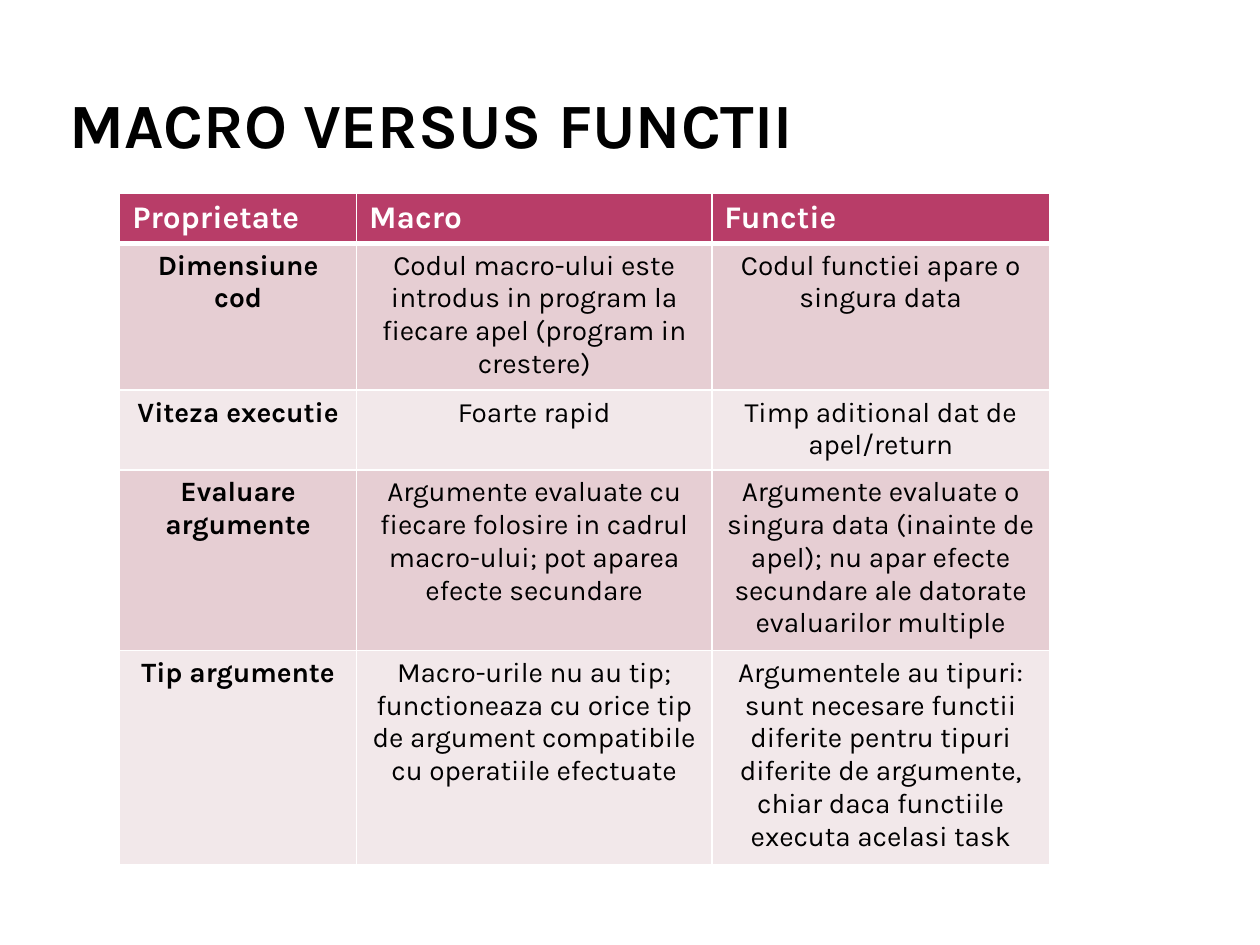
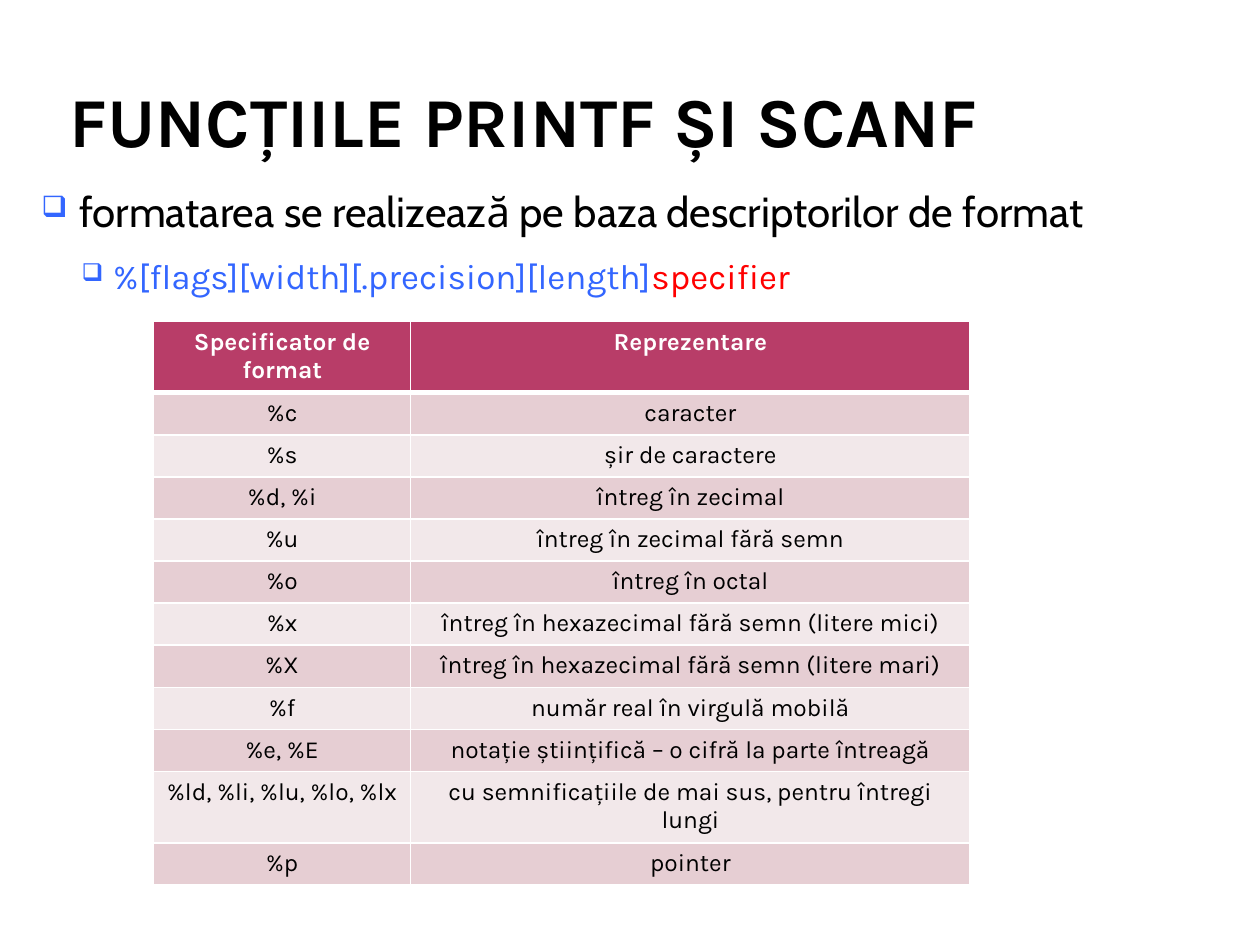
from lxml import etree
from pptx import Presentation
from pptx.dml.color import RGBColor
from pptx.enum.text import MSO_ANCHOR, PP_ALIGN
from pptx.oxml.ns import qn
from pptx.util import Inches, Pt

LEFT, CENTER = PP_ALIGN.LEFT, PP_ALIGN.CENTER
BOTTOM = MSO_ANCHOR.BOTTOM

BLACK = RGBColor(0x00, 0x00, 0x00)
WHITE = RGBColor(0xFF, 0xFF, 0xFF)
RASPBERRY = RGBColor(0xB8, 0x3D, 0x68)
DARK_BAND = RGBColor(0xE6, 0xCE, 0xD3)
LIGHT_BAND = RGBColor(0xF2, 0xE8, 0xEA)
BLUE = RGBColor(0x33, 0x66, 0xFF)
RED = RGBColor(0xFF, 0x00, 0x00)

MAIN_FONT = "Karla"
LEAD_FONT = "Cabin"
THIN, THICK = 0.96, 3

COMPARISON = [
    ("Proprietate", "Macro", "Functie"),
    ("Dimensiune cod",
     "Codul macro-ului este introdus in program la fiecare apel (program in crestere)",
     "Codul functiei apare o singura data"),
    ("Viteza executie", "Foarte rapid", "Timp aditional dat de apel/return"),
    ("Evaluare argumente",
     "Argumente evaluate cu fiecare folosire in cadrul macro-ului; "
     "pot aparea efecte secundare",
     "Argumente evaluate o singura data (inainte de apel); nu apar efecte "
     "secundare ale datorate evaluarilor multiple"),
    ("Tip argumente",
     "Macro-urile nu au tip; functioneaza cu orice tip de argument compatibile "
     "cu operatiile efectuate",
     "Argumentele au tipuri: sunt necesare functii diferite pentru tipuri diferite "
     "de argumente, chiar daca functiile executa acelasi task"),
]

SPECIFIERS = [
    ("Specificator de format", "Reprezentare"),
    ("%c", "caracter"),
    ("%s", "șir de caractere"),
    ("%d, %i", "întreg în zecimal"),
    ("%u", "întreg în zecimal fără semn"),
    ("%o", "întreg în octal"),
    ("%x", "întreg în hexazecimal fără semn (litere mici)"),
    ("%X", "întreg în hexazecimal fără semn (litere mari)"),
    ("%f", "număr real în virgulă mobilă"),
    ("%e, %E", "notație științifică – o cifră la parte întreagă"),
    ("%ld, %li, %lu, %lo, %lx", "cu semnificațiile de mai sus, pentru întregi lungi"),
    ("%p", "pointer"),
]


def set_font(paragraph, size, color, bold=False, name=MAIN_FONT):
    """Set the font of a whole paragraph."""
    font = paragraph.font
    font.name, font.size, font.bold = name, Pt(size), bold
    font.color.rgb = color


def add_text_frame(page, left, top, width, height):
    """Add a wrapping text box and return its frame."""
    box = page.shapes.add_textbox(Inches(left), Inches(top), Inches(width), Inches(height))
    box.text_frame.word_wrap = True
    return box.text_frame


def add_title(page, text, size, width):
    """Add the slide title, resting on the bottom of its box."""
    frame = add_text_frame(page, 0.5, 0.03, width, 1.25)
    frame.vertical_anchor = BOTTOM
    frame.margin_left = frame.margin_right = Inches(0.05)
    frame.margin_top = frame.margin_bottom = 0
    paragraph = frame.paragraphs[0]
    paragraph.text = text
    set_font(paragraph, size, BLACK, bold=True)


def format_bullet(paragraph, level, margin, hanging, space_before):
    """Give a paragraph its blue box bullet, indent and spacing."""
    paragraph.level = level
    paragraph.line_spacing = 1.25
    paragraph.space_before = Pt(space_before)
    properties = paragraph._p.get_or_add_pPr()
    properties.set("marL", str(Inches(margin)))
    properties.set("indent", str(-Inches(hanging)))
    color = etree.SubElement(properties, qn("a:buClr"))
    etree.SubElement(color, qn("a:srgbClr"), val=str(BLUE))
    etree.SubElement(properties, qn("a:buSzPct"), val="70000")
    etree.SubElement(properties, qn("a:buChar"), char="❑")


def add_format_outline(page):
    """Add the two bullets that explain a format descriptor."""
    frame = add_text_frame(page, 0.23, 1.32, 9.63, 6.02)
    lead = frame.paragraphs[0]
    lead.text = "formatarea se realizează pe baza descriptorilor de format"
    format_bullet(lead, 0, 0.3, 0.3, 6)
    set_font(lead, 24, BLACK, name=LEAD_FONT)

    pattern = frame.add_paragraph()
    format_bullet(pattern, 1, 0.57, 0.25, 5)
    set_font(pattern, 20, BLUE)
    for text, color in (("%[flags][width][.precision][length]", BLUE), ("specifier", RED)):
        span = pattern.add_run()
        span.text = text
        span.font.color.rgb = color


def set_borders(cell, top, bottom):
    """Draw white borders around a cell, thin at the sides."""
    properties = cell._tc.get_or_add_tcPr()
    for side, width in (("L", THIN), ("R", THIN), ("T", top), ("B", bottom)):
        line = etree.SubElement(properties, qn(f"a:ln{side}"), w=str(Pt(width)))
        fill = etree.SubElement(line, qn("a:solidFill"))
        etree.SubElement(fill, qn("a:srgbClr"), val=str(WHITE))


def add_banded_table(page, rows, left, top, widths, heights, header_size, body_size,
                     header_align=CENTER, bold_labels=False):
    """Add a table with a raspberry header and alternating pink rows."""
    table = page.shapes.add_table(
        len(rows), len(widths), Inches(left), Inches(top),
        Inches(sum(widths)), Inches(sum(heights))).table
    for column, width in zip(table.columns, widths):
        column.width = Inches(width)
    for index, (texts, height) in enumerate(zip(rows, heights)):
        table.rows[index].height = Inches(height)
        header = index == 0
        band = RASPBERRY if header else DARK_BAND if index % 2 else LIGHT_BAND
        for position, text in enumerate(texts):
            cell = table.cell(index, position)
            set_borders(cell, THICK if index == 1 else THIN, THICK if header else THIN)
            cell.fill.solid()
            cell.fill.fore_color.rgb = band
            paragraph = cell.text_frame.paragraphs[0]
            paragraph.text = text
            paragraph.alignment = header_align if header else CENTER
            set_font(paragraph, header_size if header else body_size,
                     WHITE if header else BLACK,
                     bold=header or (bold_labels and position == 0))


def main():
    """Build both slides and save the deck."""
    deck = Presentation()
    deck.slide_width, deck.slide_height = Inches(10), Inches(7.5)
    blank = deck.slide_layouts[6]

    page = deck.slides.add_slide(blank)
    add_title(page, "MACRO VERSUS FUNCTII", 36, 9.88)
    add_banded_table(page, COMPARISON, 0.95, 1.53, [1.88, 2.82, 2.68],
                     [0.39, 1.13, 0.62, 1.39, 1.65], 18, 16,
                     header_align=LEFT, bold_labels=True)

    page = deck.slides.add_slide(blank)
    add_title(page, "FUNCȚIILE PRINTF ȘI SCANF", 40, 9)
    add_format_outline(page)
    add_banded_table(page, SPECIFIERS, 1.22, 2.55, [2.04, 4.44],
                     [0.55] + [0.33] * 9 + [0.55, 0.33], 14, 14)

    deck.save("out.pptx")


if __name__ == "__main__":
    main()
